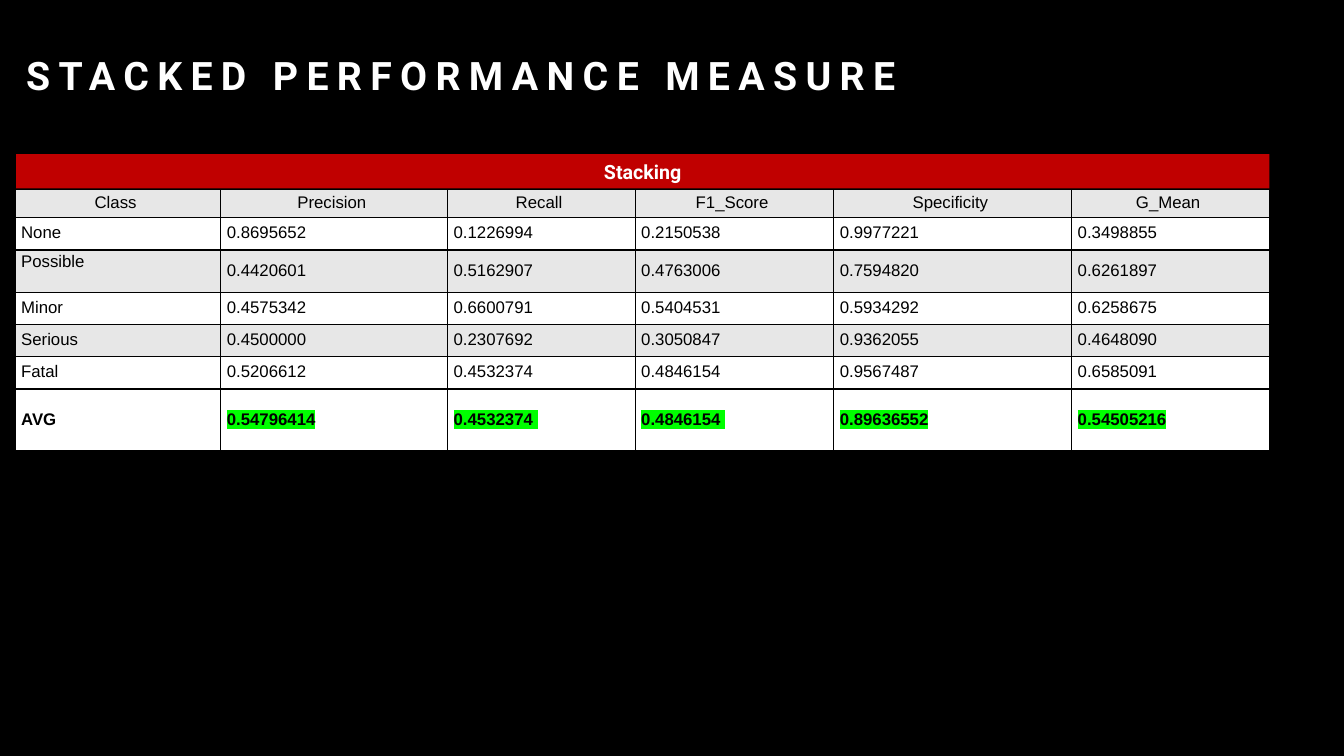
from lxml import etree
from pptx import Presentation
from pptx.dml.color import RGBColor
from pptx.enum.shapes import MSO_SHAPE
from pptx.enum.text import MSO_ANCHOR, MSO_AUTO_SIZE, PP_ALIGN
from pptx.oxml.ns import qn
from pptx.util import Inches, Pt

RECT = MSO_SHAPE.RECTANGLE
TOP, MIDDLE, BOTTOM = MSO_ANCHOR.TOP, MSO_ANCHOR.MIDDLE, MSO_ANCHOR.BOTTOM
LEFT, CENTER = PP_ALIGN.LEFT, PP_ALIGN.CENTER
NO_FIT = MSO_AUTO_SIZE.NONE

COLORS = {"black": "000000", "white": "FFFFFF", "red": "C00000",
          "gray": "E7E7E7", "green": "00FF00"}
WIDTHS = [2.04, 2.25, 1.86, 1.97, 2.36, 1.96]
HEIGHTS = [0.28, 0.32, 0.42, 0.32, 0.32, 0.32, 0.62]
SCORES = [
    ["Class ", "Precision ", "Recall ", "F1_Score ", "Specificity ", "G_Mean "],
    ["None", "0.8695652", "0.1226994", "0.2150538", "0.9977221", "0.3498855"],
    ["Possible", "0.4420601", "0.5162907", "0.4763006", "0.7594820", "0.6261897"],
    ["Minor", "0.4575342", "0.6600791", "0.5404531", "0.5934292", "0.6258675"],
    ["Serious", "0.4500000", "0.2307692", "0.3050847", "0.9362055", "0.4648090"],
    ["Fatal", "0.5206612", "0.4532374", "0.4846154", "0.9567487", "0.6585091"],
    ["AVG", "0.54796414", "0.4532374 ", "0.4846154 ", "0.89636552", "0.54505216"],
]


class Deck:
    """Hold the style and the current slide, and draw each kind of element."""

    def __init__(self):
        self.file = Presentation()
        self.file.slide_width = Inches(13.33)
        self.file.slide_height = Inches(7.5)
        self.slide = self.file.slides.add_slide(self.file.slide_layouts[5])
        self.paint(self.slide.background.fill, "black")

    def paint(self, fill, color):
        fill.solid()
        fill.fore_color.rgb = RGBColor.from_string(COLORS[color])

    def label(self, frame, text, size, font, color, bold, align):
        frame.text = text
        line = frame.paragraphs[0]
        line.alignment = align
        run = line.runs[0]
        run.font.size = Pt(size)
        run.font.name = font
        run.font.bold = bold
        run.font.color.rgb = RGBColor.from_string(COLORS[color])
        return line

    def title(self, text, box):
        shape = self.slide.shapes.title
        shape.left, shape.top, shape.width, shape.height = map(Inches, box)
        frame = shape.text_frame
        frame.vertical_anchor = BOTTOM
        frame.auto_size = NO_FIT
        line = self.label(frame, text, 28, "Roboto", "white", True, LEFT)
        line.line_spacing = 1.2
        line.runs[0].font._element.set("spc", "600")

    def banner(self, text, box):
        shape = self.slide.shapes.add_shape(RECT, *map(Inches, box))
        shape.shadow.inherit = False
        self.paint(shape.fill, "red")
        shape.line.fill.background()
        shape.text_frame.vertical_anchor = MIDDLE
        self.label(shape.text_frame, text, 14, "Roboto", "white", True, CENTER)

    def border(self, cell, sides):
        props = cell._tc.get_or_add_tcPr()
        for side, width in sides.items():
            edge = etree.SubElement(props, qn(f"a:ln{side}"), w=str(Pt(width)))
            fill = etree.SubElement(edge, qn("a:solidFill"))
            etree.SubElement(fill, qn("a:srgbClr"), val=COLORS["black"])

    def mark(self, run):
        props = run.font._element
        light = etree.Element(qn("a:highlight"))
        etree.SubElement(light, qn("a:srgbClr"), val=COLORS["green"])
        props.find(qn("a:latin")).addprevious(light)

    def cell(self, cell, text, head, last, shade):
        self.border(cell, {"L": 1, "R": 1, "T": 1.56 if head else 1,
                           "B": 1.56 if last else 1})
        self.paint(cell.fill, shade)
        cell.margin_left = cell.margin_right = Inches(0.06)
        cell.margin_top = cell.margin_bottom = Inches(0.04)
        cell.vertical_anchor = TOP if text == "Possible" else MIDDLE
        line = self.label(cell.text_frame, text, 12, "Arial", "black", last,
                          CENTER if head else LEFT)
        line.line_spacing = Pt(12.3)
        if last and text != "AVG":
            self.mark(line.runs[0])

    def table(self, rows, left, top):
        size = map(Inches, (left, top, sum(WIDTHS), sum(HEIGHTS)))
        table = self.slide.shapes.add_table(len(rows), len(WIDTHS), *size).table
        table.first_row = table.horz_banding = False
        for column, width in zip(table.columns, WIDTHS):
            column.width = Inches(width)
        for r, row in enumerate(rows):
            table.rows[r].height = Inches(HEIGHTS[r])
            shade = "white" if r % 2 or r == len(rows) - 1 else "gray"
            for c, text in enumerate(row):
                self.cell(table.cell(r, c), text, r == 0, r == len(rows) - 1, shade)


def main():
    deck = Deck()
    deck.title("STACKED PERFORMANCE MEASURE", (0.16, 0.17, 10.1, 0.86))
    deck.table(SCORES, 0.15, 1.88)
    deck.banner("Stacking", (0.16, 1.53, 12.43, 0.34))
    deck.file.save("out.pptx")


if __name__ == "__main__":
    main()
